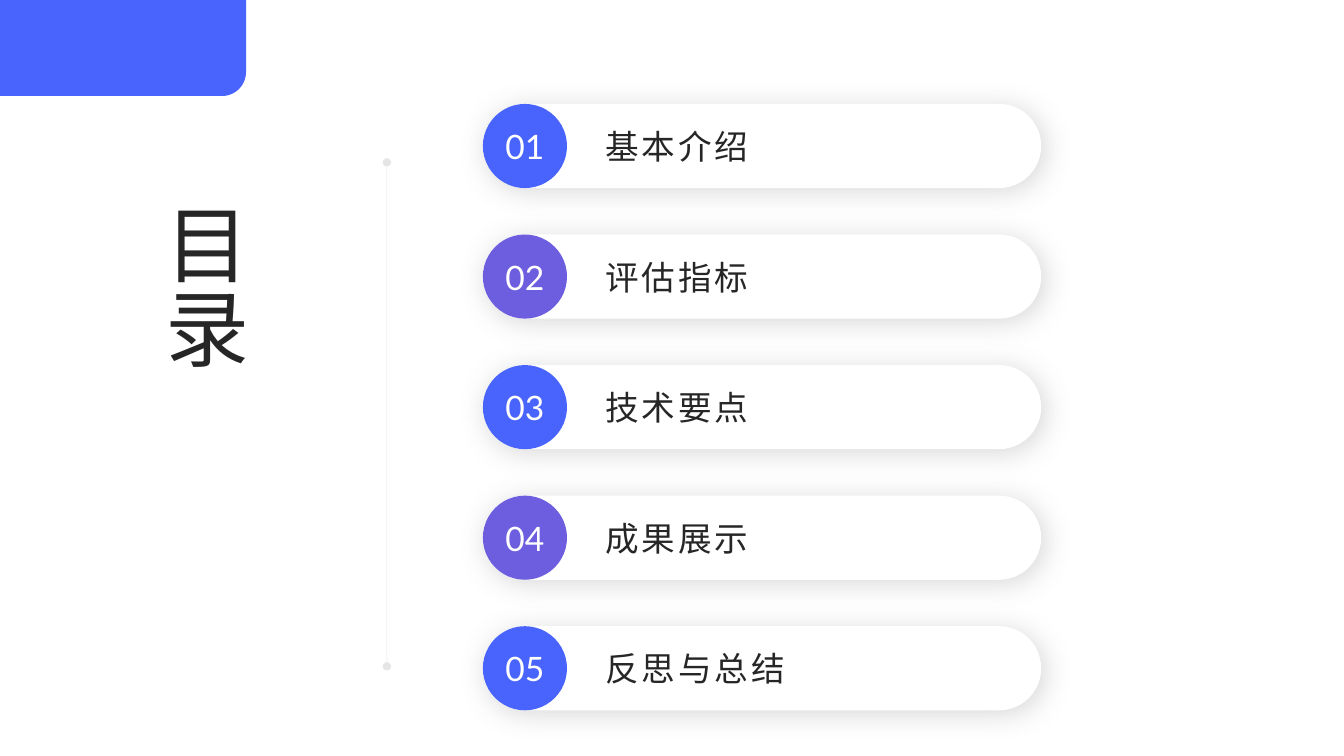
from lxml import etree
from pptx import Presentation
from pptx.dml.color import RGBColor
from pptx.enum.shapes import MSO_CONNECTOR, MSO_SHAPE
from pptx.enum.text import MSO_ANCHOR, PP_ALIGN
from pptx.oxml import parse_xml
from pptx.oxml.ns import nsdecls, qn
from pptx.util import Cm, Pt

LINE = MSO_CONNECTOR.STRAIGHT
PILL = MSO_SHAPE.ROUNDED_RECTANGLE
CIRCLE = MSO_SHAPE.OVAL
ONE_ROUND_CORNER = MSO_SHAPE.ROUND_1_RECTANGLE
MIDDLE = MSO_ANCHOR.MIDDLE
LEFT, CENTER = PP_ALIGN.LEFT, PP_ALIGN.CENTER

BLUE = RGBColor(0x48, 0x64, 0xFC)
PURPLE = RGBColor(0x6C, 0x5E, 0xDE)
DARK = RGBColor(0x26, 0x26, 0x26)
GRAY = RGBColor(0x80, 0x80, 0x80)
WHITE = RGBColor(0xFF, 0xFF, 0xFF)

TOPICS = ["基本介绍", "评估指标", "技术要点", "成果展示", "反思与总结"]
TITLE_FONT = {"name": "Lato", "size": Pt(60)}
ITEM_FONT = {"name": "Lato", "size": Pt(24)}
FIRST_TOP, PITCH, ITEM_HEIGHT = 2.62, 3.29, 2.12
ITEM_LEFT = 12.17


def write(sp, text, font, color, align=LEFT, margin=0.0, spacing=None):
    tf = sp.text_frame
    frame = {"word_wrap": True, "vertical_anchor": MIDDLE,
             "margin_left": Cm(margin), "margin_right": Cm(margin),
             "margin_top": 0, "margin_bottom": 0}
    for name, value in frame.items():
        setattr(tf, name, value)
    p = tf.paragraphs[0]
    p.alignment = align
    r = p.add_run()
    r.text = text
    for name, value in font.items():
        setattr(r.font, name, value)
    r.font.color.rgb = color
    if spacing:
        r.font._element.set("spc", str(spacing * 100))


def add_block(s, kind, left, top, width, height, color):
    sp = s.shapes.add_shape(kind, Cm(left), Cm(top), Cm(width), Cm(height))
    sp.shadow.inherit = False
    sp.fill.solid()
    sp.fill.fore_color.rgb = color
    sp.line.fill.background()
    return sp


def add_text(s, left, top, width, height, text, font, **layout):
    sp = s.shapes.add_textbox(Cm(left), Cm(top), Cm(width), Cm(height))
    write(sp, text, font, DARK, **layout)
    return sp


def add_soft_shadow(sp):
    effects = sp._element.spPr.find(qn("a:effectLst"))
    effects.append(parse_xml(
        f'<a:outerShdw {nsdecls("a")} blurRad="{Pt(20)}" dist="{Pt(3)}" '
        f'dir="2700000" algn="tl" rotWithShape="0"><a:srgbClr val="{GRAY}">'
        '<a:alpha val="30000"/></a:srgbClr></a:outerShdw>'))


def add_divider(s, x, top, bottom):
    line = s.shapes.add_connector(LINE, Cm(x), Cm(top), Cm(x), Cm(bottom))
    line.line.width = Pt(0.5)
    line.line.color.rgb = GRAY
    spPr = line._element.spPr
    ln = spPr.find(qn("a:ln"))
    color = ln.find(".//" + qn("a:srgbClr"))
    etree.SubElement(color, qn("a:alpha"), val="20000")
    for end in ("a:headEnd", "a:tailEnd"):
        etree.SubElement(ln, qn(end), type="oval")
    etree.SubElement(spPr, qn("a:effectLst"))


def add_corner(s, width, height):
    offset = (width - height) / 2
    sp = add_block(s, ONE_ROUND_CORNER, offset, -offset, height, width, BLUE)
    sp.rotation = 90
    sp.adjustments[0] = 0.25


def add_title(s):
    sp = add_text(s, 3.25, 4.98, 3.81, 10, "目录", TITLE_FONT)
    body = sp.text_frame._txBody.bodyPr
    body.set("vert", "eaVert")
    sp.text_frame.margin_top = Cm(0.13)


def add_item(s, index, topic):
    top = FIRST_TOP + index * PITCH
    pill = add_block(s, PILL, ITEM_LEFT, top, 14.07, ITEM_HEIGHT, WHITE)
    pill.adjustments[0] = 0.5
    add_soft_shadow(pill)
    color = PURPLE if index % 2 else BLUE
    badge = add_block(s, CIRCLE, ITEM_LEFT, top, ITEM_HEIGHT, ITEM_HEIGHT, color)
    write(badge, f"{index + 1:02d}", ITEM_FONT, WHITE, align=CENTER)
    add_text(s, 15.01, top, 10.95, ITEM_HEIGHT, topic, ITEM_FONT,
             margin=0.25, spacing=2)


def main():
    prs = Presentation()
    prs.slide_width, prs.slide_height = Cm(33.87), Cm(19.05)
    s = prs.slides.add_slide(prs.slide_layouts[6])
    add_divider(s, 9.75, 4.09, 16.79)
    add_corner(s, 6.2, 2.42)
    add_title(s)
    for index, topic in enumerate(TOPICS):
        add_item(s, index, topic)
    prs.save("out.pptx")


if __name__ == "__main__":
    main()
